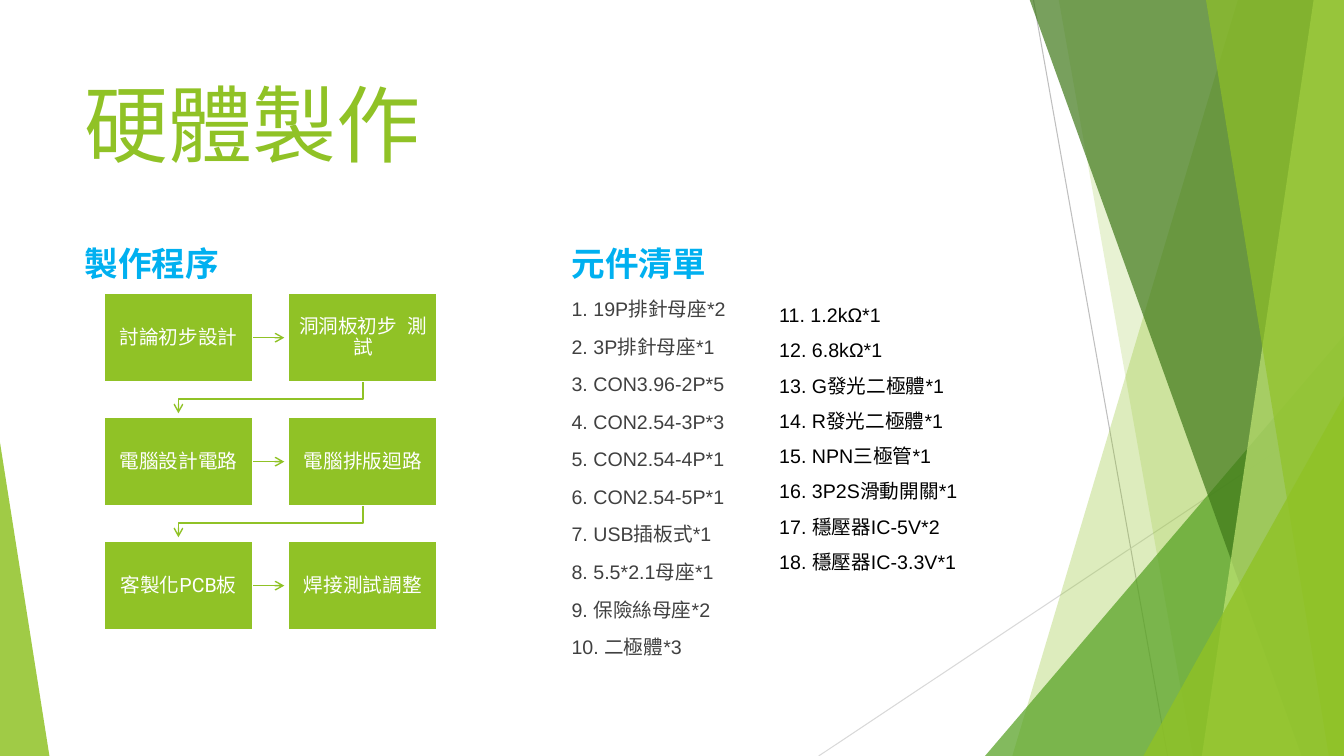
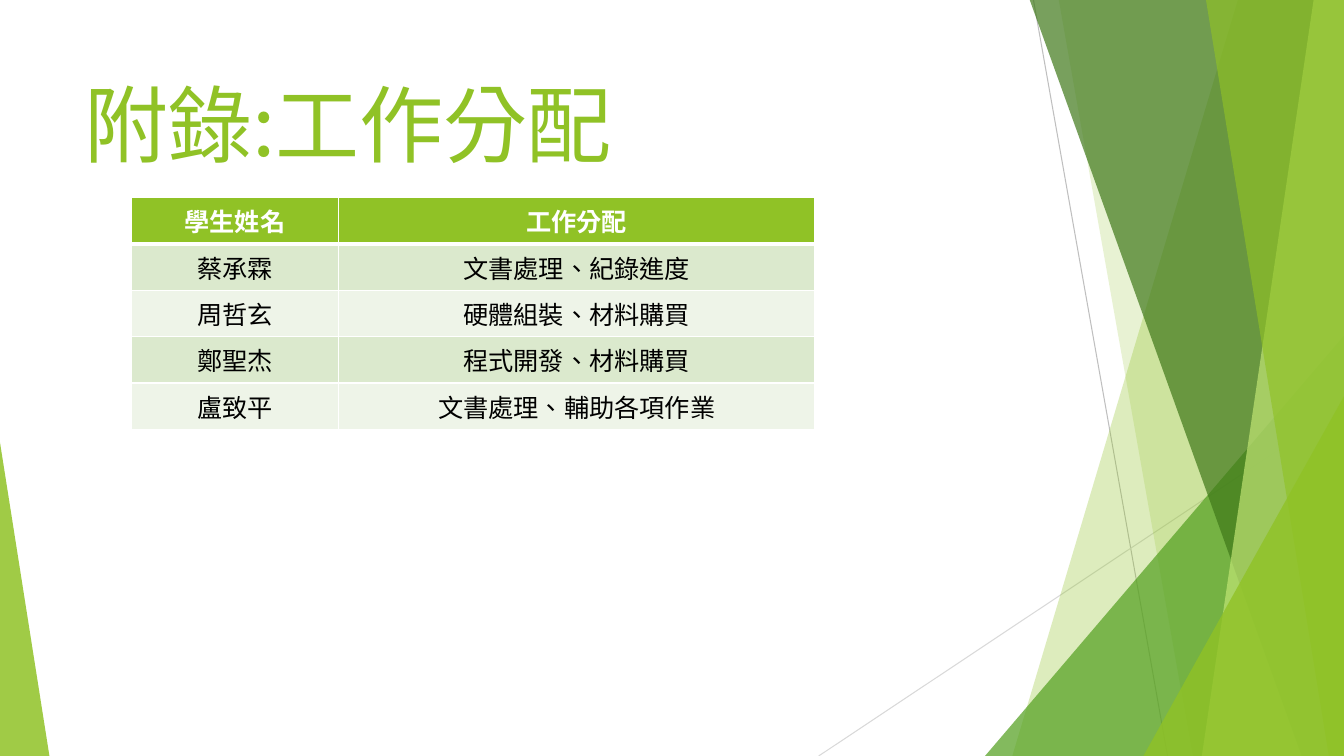
import lxml.etree
import pptx
import pptx.dml.color
import pptx.enum.shapes
import pptx.enum.text
import pptx.oxml.ns
import pptx.util

PX = 9144
WIDTH, HEIGHT = 1333, 750
RGB = pptx.dml.color.RGBColor
LIME = RGB(0x90, 0xC2, 0x26)
GREEN = RGB(0x54, 0xA0, 0x21)
FOREST = RGB(0x3F, 0x78, 0x19)
PALE_LIME = RGB(0xC0, 0xE4, 0x74)
BLUE = RGB(0x00, 0xB0, 0xF0)
WHITE = RGB(0xFF, 0xFF, 0xFF)
BLACK = RGB(0x00, 0x00, 0x00)
BODY_GREY = RGB(0x40, 0x40, 0x40)
GREY = RGB(0xBF, 0xBF, 0xBF)
LIGHT_GREY = RGB(0xD9, 0xD9, 0xD9)
BANDS = (RGB(0xDB, 0xE9, 0xCD), RGB(0xEE, 0xF4, 0xE8))
CJK, ROBOTO, ARIAL = "Noto Sans CJK SC", "Roboto", "Arial"
SHAPE = pptx.enum.shapes.MSO_SHAPE
CENTER = pptx.enum.text.PP_ALIGN.CENTER

STEPS = (
    ("討論初步設計", "洞洞板初步  測試"),
    ("電腦設計電路", "電腦排版迴路"),
    ("客製化PCB板", "焊接測試調整"),
)
PARTS = (
    "19P排針母座*2", "3P排針母座*1", "CON3.96-2P*5", "CON2.54-3P*3",
    "CON2.54-4P*1", "CON2.54-5P*1", "USB插板式*1", "5.5*2.1母座*1",
    "保險絲母座*2", "二極體*3", "1.2kΩ*1", "6.8kΩ*1", "G發光二極體*1",
    "R發光二極體*1", "NPN三極管*1", "3P2S滑動開關*1", "穩壓器IC-5V*2",
    "穩壓器IC-3.3V*1",
)
DUTIES = (
    ("學生姓名", "工作分配"),
    ("蔡承霖", "文書處理、紀錄進度"),
    ("周哲玄", "硬體組裝、材料購買"),
    ("鄭聖杰", "程式開發、材料購買"),
    ("盧致平", "文書處理、輔助各項作業"),
)


def px(*lengths):
    return [pptx.util.Emu(n * PX) for n in lengths]


def sub(parent, tag, **attributes):
    return lxml.etree.SubElement(parent, pptx.oxml.ns.qn(tag), attributes)


def add_run(p, text, size, font, color, bold=False):
    r = p.add_run()
    r.text = text
    r.font.size = pptx.util.Pt(size)
    r.font.name = font
    r.font.bold = bold
    r.font.color.rgb = color
    rPr = r._r.get_or_add_rPr()
    rPr.set("lang", "zh-TW")
    sub(rPr, "a:ea", typeface=font)


def next_paragraph(tf):
    return tf.add_paragraph() if tf.paragraphs[0].runs else tf.paragraphs[0]


def add_box(s, *frame):
    tf = s.shapes.add_textbox(*px(*frame)).text_frame
    tf.word_wrap = True
    return tf


def add_heading(tf, text):
    add_run(next_paragraph(tf), text, 24, ROBOTO, BLUE, True)


def add_parts(tf, start, stop, color, before=None, spacing=None):
    for number, part in enumerate(PARTS[start:stop], start + 1):
        p = next_paragraph(tf)
        if before:
            p.space_before = pptx.util.Pt(before)
        if spacing:
            p.line_spacing = spacing
        add_run(p, f"{number}. {part}", 14, ARIAL, color)


def paint(sp, color, opacity):
    sp.shadow.inherit = False
    sp.fill.solid()
    sp.fill.fore_color.rgb = color
    sp.line.fill.background()
    clr = sp._element.spPr.find(".//" + pptx.oxml.ns.qn("a:srgbClr"))
    sub(clr, "a:alpha", val=str(opacity * 1000))


def add_outline(s, points, close):
    builder = s.shapes.build_freeform(*points[0], scale=PX)
    builder.add_line_segments(points[1:], close=close)
    return builder.convert_to_shape()


def add_shard(s, top_x, bottom_x, color, opacity):
    points = [(top_x, -1), (WIDTH, -1), (WIDTH, HEIGHT), (bottom_x, HEIGHT)]
    paint(add_outline(s, points, True), color, opacity)


def add_corner(s, left, top, width, apex, color, opacity):
    sp = s.shapes.add_shape(SHAPE.ISOSCELES_TRIANGLE, *px(left, top, width, HEIGHT - top))
    sp.adjustments[0] = apex
    paint(sp, color, opacity)


def add_line(s, x1, y1, x2, y2, color, width):
    kind = pptx.enum.shapes.MSO_CONNECTOR.STRAIGHT
    line = s.shapes.add_connector(kind, *px(x1, y1, x2, y2))
    line.line.color.rgb = color
    line.line.width = pptx.util.Pt(width)
    sub(line._element.spPr, "a:effectLst")
    return line


def add_arrowhead(sp):
    sub(sp.line._get_or_add_ln(), "a:tailEnd", type="arrow")


def add_decor(s):
    add_line(s, 1025, 0, 1158, HEIGHT, GREY, 0.75)
    add_line(s, WIDTH, 403, 812, HEIGHT, LIGHT_GREY, 0.75)
    add_shard(s, 1228, 1004, LIME, 30)
    add_shard(s, 1050, 1183, LIME, 20)
    add_corner(s, 977, 333, 356, 1, GREEN, 72)
    add_shard(s, 1021, 1291, FOREST, 70)
    add_shard(s, 1303, 1192, PALE_LIME, 70)
    add_shard(s, 1196, 1318, LIME, 65)
    add_corner(s, 1134, 393, 199, 1, LIME, 80)
    add_corner(s, 0, 439, 49, 0, LIME, 85)


def add_slide(prs, title):
    s = prs.slides.add_slide(prs.slide_layouts[6])
    add_decor(s)
    p = add_box(s, 74, 67, 940, 144).paragraphs[0]
    add_run(p, title, 60, CJK, LIME)
    return s


def add_step(s, left, top, width, height, text):
    sp = s.shapes.add_shape(SHAPE.RECTANGLE, *px(left, top, width, height))
    sp.shadow.inherit = False
    sp.fill.solid()
    sp.fill.fore_color.rgb = LIME
    sp.line.color.rgb = WHITE
    sp.line.width = pptx.util.Pt(1.5)
    tf = sp.text_frame
    tf.word_wrap = True
    tf.vertical_anchor = pptx.enum.text.MSO_ANCHOR.MIDDLE
    inset = px(10)[0]
    tf.margin_left = tf.margin_right = tf.margin_top = tf.margin_bottom = inset
    p = tf.paragraphs[0]
    p.alignment = CENTER
    p.line_spacing = 0.9
    add_run(p, text, 14, ROBOTO, WHITE)
    return sp


def add_return_arrow(s, x1, x2, top):
    turn = top + 17
    sp = add_outline(s, [(x1, top), (x1, turn), (x2, turn), (x2, top + 31)], False)
    sp.shadow.inherit = False
    sp.fill.background()
    sp.line.color.rgb = LIME
    sp.line.width = pptx.util.Pt(1)
    add_arrowhead(sp)


def add_flow(s):
    left, top, width, height = 103, 291, 148, 88
    column_step, row_step = 183, 123
    center = left + width // 2
    for row, texts in enumerate(STEPS):
        y = top + row * row_step
        first, _ = [
            add_step(s, left + column * column_step, y, width, height, text)
            for column, text in enumerate(texts)
        ]
        middle = y + height // 2
        arrow = add_line(s, left + width, middle, left + width + 31, middle, LIME, 1)
        arrow.begin_connect(first, 3)
        add_arrowhead(arrow)
        if row < len(STEPS) - 1:
            add_return_arrow(s, center + column_step, center, y + height)


def add_borders(cell, top, bottom):
    tcPr = cell._tc.get_or_add_tcPr()
    for side, width in (("L", 1), ("R", 1), ("T", top), ("B", bottom)):
        ln = sub(tcPr, f"a:ln{side}", w=str(pptx.util.Pt(width)))
        sub(sub(ln, "a:solidFill"), "a:srgbClr", val=str(WHITE))


def add_duties(s):
    widths, height = (206, 472), 46
    frame = px(130, 196, sum(widths), height * len(DUTIES))
    table = s.shapes.add_table(len(DUTIES), len(widths), *frame).table
    for column, width in zip(table.columns, px(*widths)):
        column.width = width
    for i, texts in enumerate(DUTIES):
        header = i == 0
        table.rows[i].height = px(height)[0]
        for j, text in enumerate(texts):
            cell = table.cell(i, j)
            add_borders(cell, 3 if i == 1 else 1, 3 if header else 1)
            cell.fill.solid()
            cell.fill.fore_color.rgb = LIME if header else BANDS[(i - 1) % 2]
            p = cell.text_frame.paragraphs[0]
            p.alignment = CENTER
            add_run(p, text, 18, CJK, WHITE if header else BLACK, header)


def add_hardware_slide(prs):
    s = add_slide(prs, "硬體製作")
    add_heading(add_box(s, 74, 236, 458, 50), "製作程序")
    tf = add_box(s, 557, 236, 181, 424)
    add_heading(tf, "元件清單")
    add_parts(tf, 0, 10, BODY_GREY, before=10)
    add_parts(add_box(s, 763, 284, 211, 288), 10, 18, BLACK, spacing=1.5)
    add_flow(s)


def add_duties_slide(prs):
    add_duties(add_slide(prs, "附錄:工作分配"))


def main():
    prs = pptx.Presentation()
    prs.slide_width, prs.slide_height = px(WIDTH, HEIGHT)
    add_hardware_slide(prs)
    add_duties_slide(prs)
    prs.save("out.pptx")


if __name__ == "__main__":
    main()
